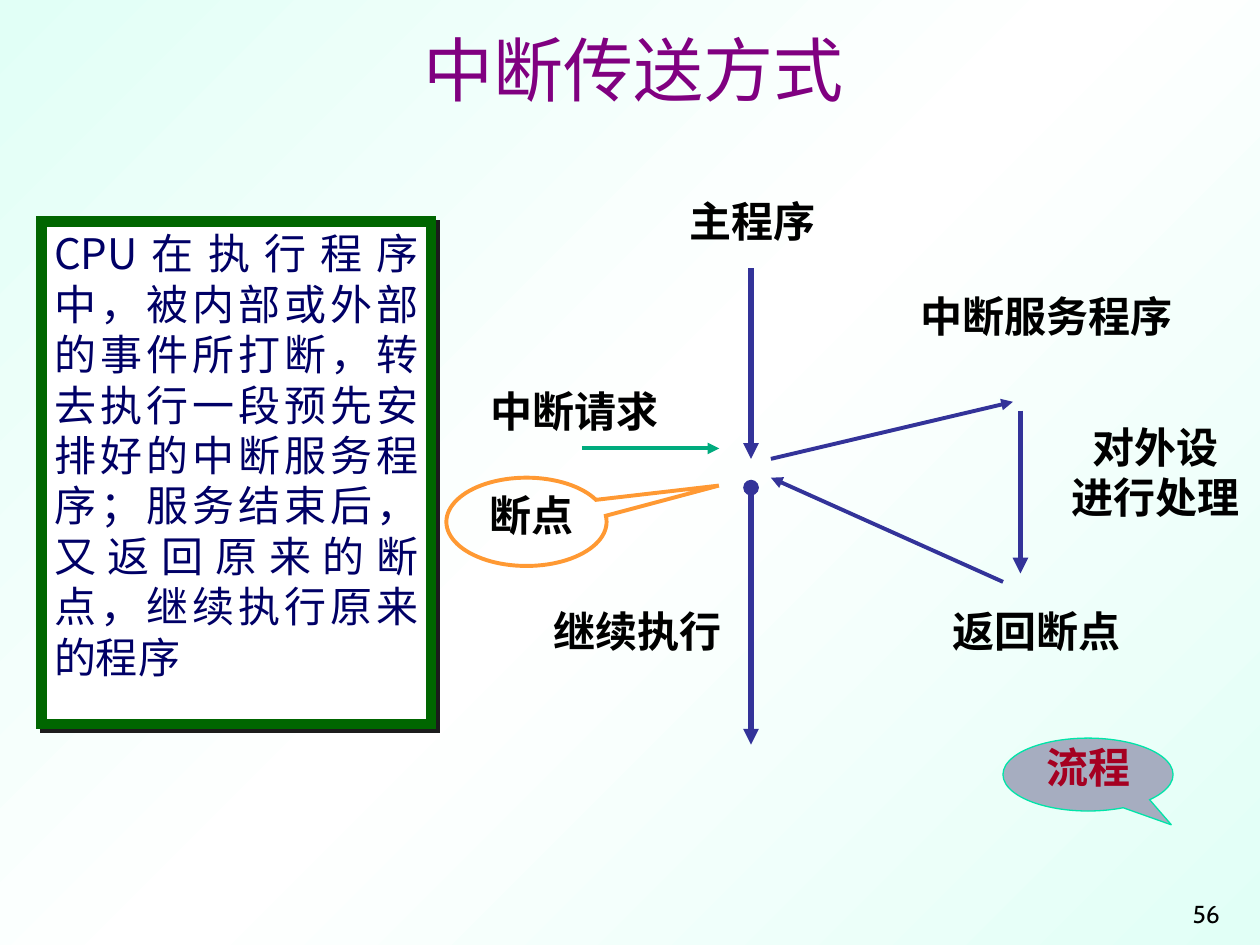
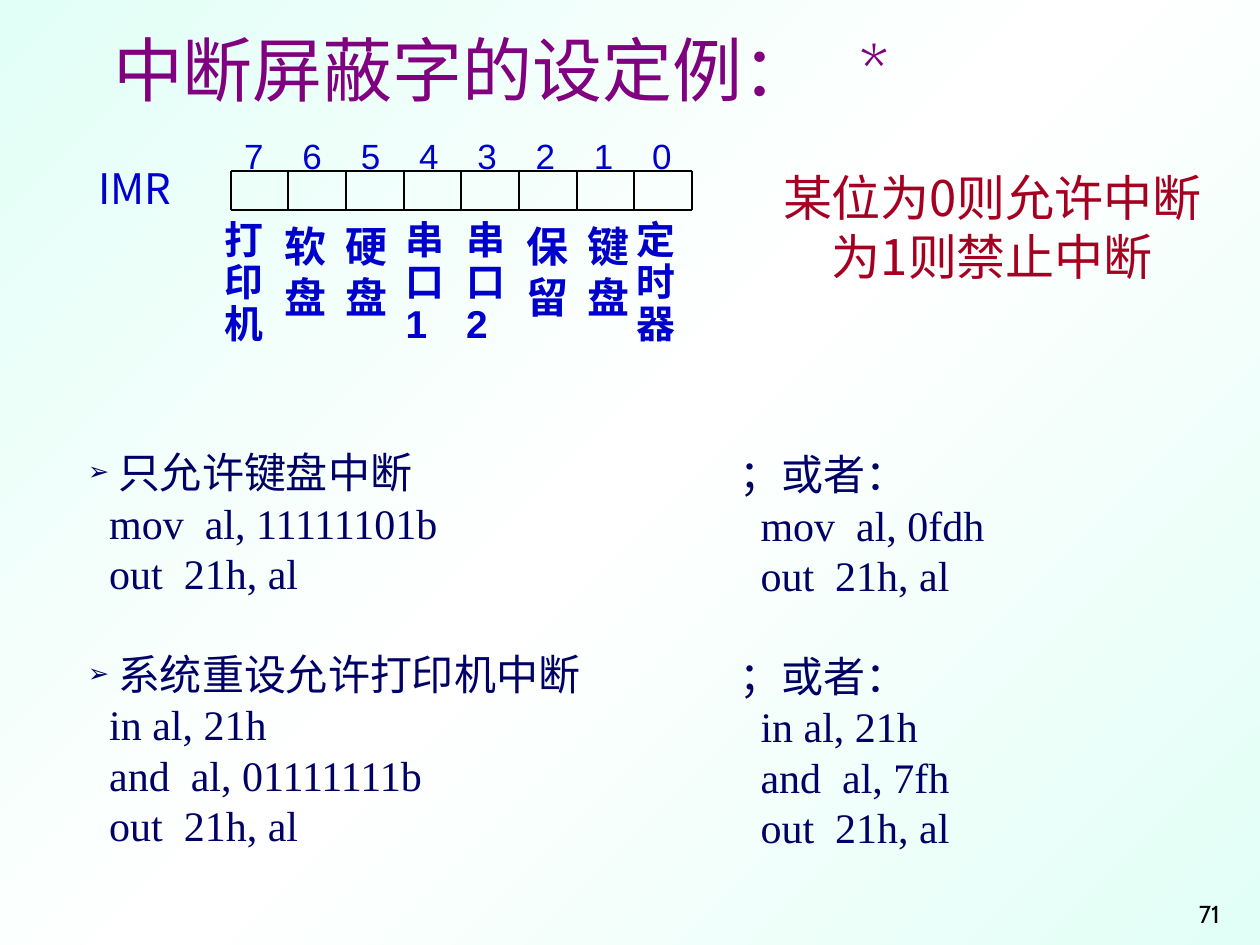
from copy import deepcopy
from itertools import accumulate

from lxml import etree
from pptx import Presentation
from pptx.dml.color import RGBColor
from pptx.enum.shapes import MSO_CONNECTOR, MSO_SHAPE
from pptx.enum.text import MSO_ANCHOR, PP_ALIGN
from pptx.oxml.ns import qn
from pptx.util import Cm, Pt

LINE = MSO_CONNECTOR.STRAIGHT
RECT, CALLOUT = MSO_SHAPE.RECTANGLE, MSO_SHAPE.OVAL_CALLOUT
TOP, MIDDLE, BOTTOM = MSO_ANCHOR.TOP, MSO_ANCHOR.MIDDLE, MSO_ANCHOR.BOTTOM
LEFT, CENTER, RIGHT = PP_ALIGN.LEFT, PP_ALIGN.CENTER, PP_ALIGN.RIGHT
JUSTIFY = PP_ALIGN.JUSTIFY

BLACK = RGBColor(0x00, 0x00, 0x00)
WHITE = RGBColor(0xFF, 0xFF, 0xFF)
MINT = RGBColor(0xE1, 0xFF, 0xF6)
PURPLE = RGBColor(0x80, 0x00, 0x80)
NAVY = RGBColor(0x00, 0x00, 0x66)
BLUE = RGBColor(0x00, 0x00, 0xCC)
INDIGO = RGBColor(0x33, 0x33, 0x99)
RED = RGBColor(0xA5, 0x00, 0x21)
GREEN = RGBColor(0x00, 0x66, 0x00)
TEAL = RGBColor(0x00, 0xAB, 0x7E)
AQUA = RGBColor(0x00, 0xE4, 0xA8)
ORANGE = RGBColor(0xFF, 0x99, 0x33)
GRAY = RGBColor(0xA6, 0xAD, 0xC0)
SHADOW = RGBColor(0x1C, 0x1C, 0x1C)

SANS, ARIAL, SERIF = "Cabin", "Arial", "Times New Roman"
CJK, CJK_JP = "Noto Sans CJK SC", "Noto Sans CJK JP"


def write(sp, text, size, color, font, align=LEFT, anchor=TOP, bold=False,
          wrap=True, spacing=None):
    tf = sp.text_frame
    tf.text = text
    tf.word_wrap = wrap
    tf.vertical_anchor = anchor
    for p in tf.paragraphs:
        p.alignment = align
        p._p.get_or_add_pPr().set("hangingPunct", "0")
        if spacing:
            p.line_spacing = spacing
        for r in p.runs:
            r.font.size = Pt(size)
            r.font.bold = bold
            r.font.name = font
            r.font.color.rgb = color
            ea = etree.SubElement(r.font._element, qn("a:ea"))
            ea.set("typeface", CJK_JP if font == CJK_JP else CJK)
    return tf


def add_text(s, box, text, size, color, font, **style):
    sp = s.shapes.add_textbox(*map(Cm, box))
    return write(sp, text, size, color, font, **style)


def add_line(s, start, end, color, width, head=None, tail=None):
    c = s.shapes.add_connector(LINE, *map(Cm, (*start, *end)))
    c.line.color.rgb = color
    c.line.width = Pt(width)
    ln = c.line._get_or_add_ln()
    for tag, kind in (("a:headEnd", head), ("a:tailEnd", tail)):
        if kind:
            etree.SubElement(ln, qn(tag)).set("type", kind)
    etree.SubElement(c._element.spPr, qn("a:effectLst"))


def add_box(s, kind, box, fill, line, width, adjustments=()):
    sp = s.shapes.add_shape(kind, *map(Cm, box))
    sp.shadow.inherit = False
    if fill is None:
        sp.fill.background()
    else:
        sp.fill.solid()
        sp.fill.fore_color.rgb = fill
    sp.line.color.rgb = line
    sp.line.width = Pt(width)
    etree.SubElement(sp.line._get_or_add_ln(), qn("a:miter"), lim="800000")
    for i, value in enumerate(adjustments):
        sp.adjustments[i] = value
    return sp


def add_hard_shadow(sp):
    effects = sp._element.spPr.find(qn("a:effectLst"))
    shadow = etree.SubElement(effects, qn("a:outerShdw"), blurRad="0",
                              dist=str(Pt(2.8)), dir="2700000", algn="ctr")
    etree.SubElement(shadow, qn("a:srgbClr"), val=str(SHADOW))


def add_tabs(p, stops, align):
    tabs = etree.SubElement(p._p.get_or_add_pPr(), qn("a:tabLst"))
    for stop in stops:
        etree.SubElement(tabs, qn("a:tab"), pos=str(Cm(stop)), algn=align)


def set_background(master):
    fill = master.background.fill
    fill.gradient()
    fill.gradient_angle = 315
    stops = master._element.find(".//" + qn("a:gsLst"))
    stops.append(deepcopy(stops[0]))
    for stop, position, color in zip(fill.gradient_stops, (0, 0.5, 1),
                                     (MINT, WHITE, MINT)):
        stop.position = position
        stop.color.rgb = color


def add_slide(prs, title, left, number, align):
    s = prs.slides.add_slide(prs.slide_layouts[6])
    tf = add_text(s, (left, 0.65, 21.64, 1.57), title, 40, PURPLE, SANS,
                  align=align, anchor=BOTTOM)
    tf.margin_top = tf.margin_bottom = 0
    add_text(s, (18.85, 17.88, 5.99, 0.97), number, 14, BLACK, SANS,
             align=RIGHT, anchor=BOTTOM)
    return s, tf


def add_definition(s, box, text):
    sp = add_box(s, RECT, box, WHITE, GREEN, 6)
    add_hard_shadow(sp)
    write(sp, text, 24, NAVY, CJK, align=JUSTIFY)


def add_flow(s, left, top):
    def at(x, y):
        return left + x, top + y

    arrows = [
        ((6.14, 1.6), (6.14, 5.44), INDIGO, 3, None),
        ((6.14, 6.02), (6.14, 11.2), INDIGO, 3, "oval"),
        ((11.57, 4.47), (11.57, 7.75), INDIGO, 3, None),
        ((2.73, 5.23), (5.5, 5.23), TEAL, 2.25, None),
        ((6.54, 5.44), (11.42, 4.29), INDIGO, 2.25, None),
        ((11.22, 7.92), (6.54, 5.82), INDIGO, 2.25, None),
    ]
    for start, end, color, width, head in arrows:
        add_line(s, at(*start), at(*end), color, width, head, "triangle")

    add_box(s, CALLOUT, (*at(0, 5.82), 3.23, 1.78), None, ORANGE, 2.25,
            (1.2, -0.41))
    labels = [
        ("断点", 0.5, 5.94, 2.44, 1.27),
        ("主程序", 4.65, 0, 3.05, 1.27),
        ("中断服务程序", 9.31, 1.91, 5.59, 1.27),
        ("中断请求", 0.63, 3.84, 3.89, 1.27),
        ("对外设\n进行处理", 12.34, 4.55, 3.89, 2.29),
        ("继续执行", 1.9, 8.26, 3.89, 1.27),
        ("返回断点", 9.95, 8.26, 3.89, 1.27),
    ]
    for text, x, y, width, height in labels:
        add_text(s, (*at(x, y), width, height), text, 24, BLACK, ARIAL,
                 align=CENTER, anchor=MIDDLE, bold=True, wrap=False)


def add_mask_register(s, left, top, devices):
    add_text(s, (left, top + 0.58, 2.08, 1.27), "IMR", 24, BLUE, CJK,
             align=CENTER, wrap=False)

    bits = len(devices)
    x0, x1 = left + 2.97, left + 12.27
    y0, y1 = top + 0.86, top + 1.65
    for i in range(bits + 1):
        x = x0 + i * (x1 - x0) / bits
        add_line(s, (x, y0), (x, y1), BLACK, 1)
    for y in (y0, y1):
        add_line(s, (x0, y), (x1, y), BLACK, 1)

    numbers = "".join(f"\t{bit}" for bit in reversed(range(bits)))
    tf = add_text(s, (left + 2.23, top, 10.64, 1.12), numbers, 20, BLUE, ARIAL)
    add_tabs(tf.paragraphs[0], [0.96 + 1.175 * i for i in range(bits)], "ctr")

    widths = [1.22] * (bits - 2) + [1, 1.14]
    offsets = accumulate(widths, initial=left + 2.59)
    for device, x, width in zip(devices, offsets, widths):
        long = len(device) > 2
        add_text(s, (x, top + 1.75, width, 3.12), device,
                 22.2 if long else 24, BLUE, ARIAL, bold=True,
                 spacing=0.9 if long else None)


def add_listing(s, box, examples, bulleted):
    text = "\n".join(line for example in examples for line in example)
    tf = add_text(s, box, text, 24, NAVY, SERIF)
    starts = accumulate(map(len, examples[:-1]), initial=0)
    for start in starts:
        p = tf.paragraphs[start]
        if start:
            p.space_before = Pt(28.8)
        if bulleted:
            pPr = p._p.get_or_add_pPr()
            pPr.set("marL", str(Cm(0.6)))
            pPr.set("indent", str(-Cm(0.6)))
            color = etree.SubElement(pPr, qn("a:buClr"))
            etree.SubElement(color, qn("a:srgbClr"), val=str(NAVY))
            etree.SubElement(pPr, qn("a:buSzPct"), val="60000")
            etree.SubElement(pPr, qn("a:buFont"), typeface=ARIAL)
            etree.SubElement(pPr, qn("a:buChar"), char="➢")


def build_transfer_slide(prs):
    s, _ = add_slide(prs, "中断传送方式", 1.95, "56", CENTER)
    add_flow(s, 9, 3.81)
    add_definition(s, (0.84, 4.47, 7.85, 10.13),
                   "CPU在执行程序中，被内部或外部的事件所打断，"
                   "转去执行一段预先安排好的中断服务程序；"
                   "服务结束后，又返回原来的断点，继续执行原来的程序")
    sp = add_box(s, CALLOUT, (20.22, 14.88, 3.43, 1.47), GRAY, AQUA, 0.75,
                 (0.49, 0.69))
    write(sp, "流程", 24, RED, SANS, align=CENTER, bold=True, spacing=0.7)


def build_mask_slide(prs):
    s, title = add_slide(prs, "中断屏蔽字的设定例：\t*", 2.03, "71", LEFT)
    add_tabs(title.paragraphs[0], [15.05], "l")
    add_mask_register(s, 1.68, 2.58, ["打印机", "软盘", "硬盘", "串口1",
                                      "串口2", "保留", "键盘", "定时器"])
    add_text(s, (15.27, 3.25, 9.47, 2.64), "某位为0则允许中断\n为1则禁止中断",
             28, RED, CJK_JP, align=CENTER)
    add_listing(s, (1.53, 8.88, 12.32, 8.38), [
        ["只允许键盘中断", "  mov  al, 11111101b", "  out  21h, al"],
        ["系统重设允许打印机中断", "  in al, 21h", "  and  al, 01111111b",
         "  out  21h, al"],
    ], True)
    add_listing(s, (14.66, 8.92, 8.74, 8.38), [
        ["；或者：", "  mov  al, 0fdh", "  out  21h, al"],
        ["；或者：", "  in al, 21h", "  and  al, 7fh", "  out  21h, al"],
    ], False)


def main():
    prs = Presentation()
    prs.slide_width, prs.slide_height = Cm(25.4), Cm(19.05)
    set_background(prs.slide_master)
    build_transfer_slide(prs)
    build_mask_slide(prs)
    prs.save("out.pptx")


if __name__ == "__main__":
    main()
